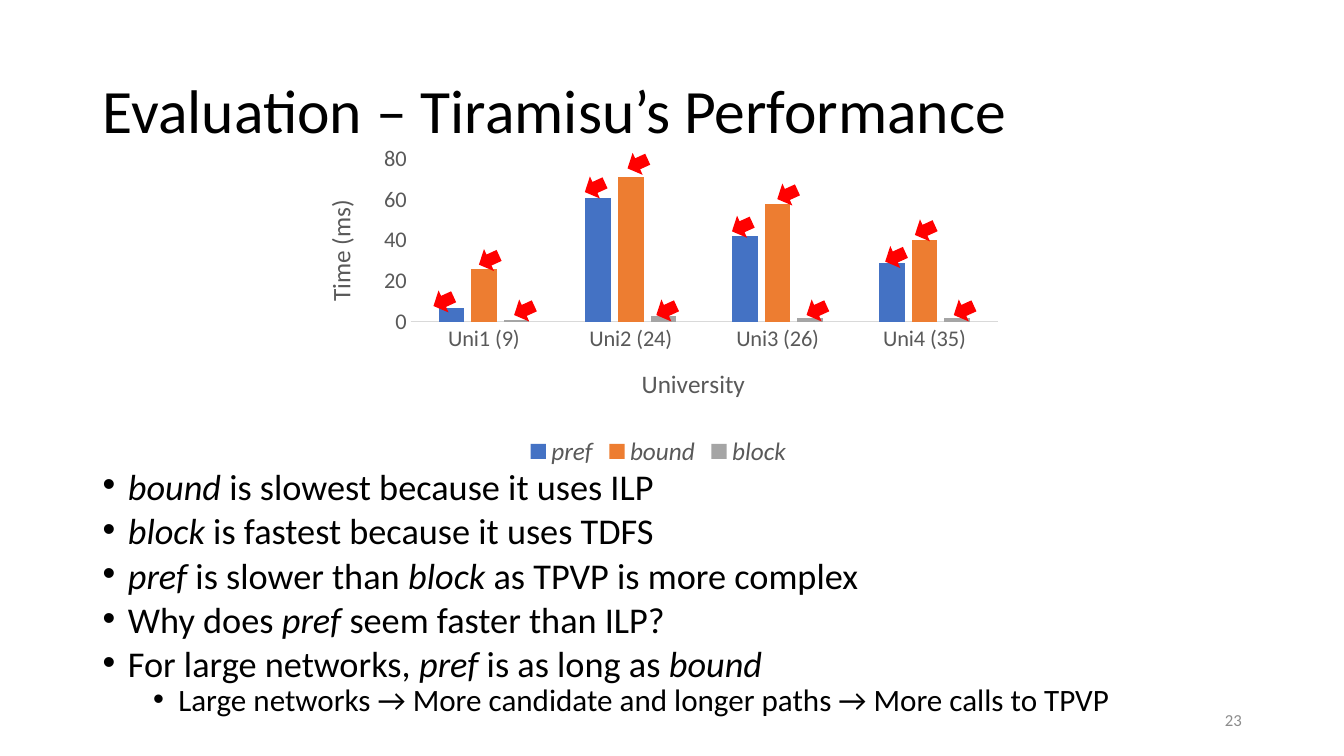
import pptx
import pptx.chart.data
import pptx.dml.color
import pptx.enum.chart
import pptx.enum.shapes
import pptx.enum.text
import pptx.oxml
import pptx.oxml.ns
import pptx.util
from lxml import etree

COLORS = {
    "text": "000000", "number": "8C8C8C", "axis": "595959", "line": "D9D9D9",
    "arrow": "FF0000", "pref": "4472C4", "bound": "ED7D31", "block": "A5A5A5",
}
FONT = "Calibri"

presentation = pptx.Presentation()
presentation.slide_width = pptx.util.Inches(13.33)
presentation.slide_height = pptx.util.Inches(7.5)
slide = presentation.slides.add_slide(presentation.slide_layouts[6])


def place(left, top, width, height):
    column = presentation.slide_width / 100
    row = presentation.slide_height / 100
    return [round(left * column), round(top * row), round(width * column), round(height * row)]


def style(font, size, color, italic=False):
    font.name = FONT
    font.size = pptx.util.Pt(size)
    font.bold = False
    font.italic = italic
    font.color.rgb = pptx.dml.color.RGBColor.from_string(COLORS[color])


labels = [
    ("Evaluation – Tiramisu’s Performance", (6.9, 5.33, 86.25, 19.33), 44, "text", pptx.enum.text.PP_ALIGN.LEFT),
    ("23", (70.65, 92.67, 22.5, 5.33), 12, "number", pptx.enum.text.PP_ALIGN.RIGHT),
]
for text, box, size, color, alignment in labels:
    frame = slide.shapes.add_textbox(*place(*box)).text_frame
    frame.word_wrap = True
    frame.vertical_anchor = pptx.enum.text.MSO_ANCHOR.MIDDLE
    paragraph = frame.paragraphs[0]
    paragraph.alignment = alignment
    paragraph.line_spacing = 0.9
    run = paragraph.add_run()
    run.text = text
    style(run.font, size, color)

findings = [
    (0, ["bound", " is slowest because it uses ILP"]),
    (0, ["block", " is fastest because it uses TDFS"]),
    (0, ["pref", " is slower than ", "block", " as TPVP is more complex"]),
    (0, ["Why does ", "pref", " seem faster than ILP?"]),
    (0, ["For large networks, ", "pref", " is as long as ", "bound"]),
    (1, ["Large networks → More candidate and longer paths → More calls to TPVP"]),
]
series_values = {"pref": (7, 61, 42, 29), "bound": (26, 71, 58, 40), "block": (1, 3, 2, 2)}

frame = slide.shapes.add_textbox(*place(6.9, 62.27, 86.25, 34.53)).text_frame
frame.word_wrap = True
for index, (level, texts) in enumerate(findings):
    paragraph = frame.paragraphs[0] if index == 0 else frame.add_paragraph()
    paragraph.level = level
    properties = paragraph._p.get_or_add_pPr()
    properties.set("marL", str(pptx.util.Inches(0.25 + 0.5 * level)))
    properties.set("indent", str(pptx.util.Inches(-0.25)))
    etree.SubElement(properties, pptx.oxml.ns.qn("a:buFont")).set("typeface", "Arial")
    etree.SubElement(properties, pptx.oxml.ns.qn("a:buChar")).set("char", "•")
    paragraph.line_spacing = 0.7
    paragraph.space_before = pptx.util.Pt(0 if index == 0 else 10 - 5 * level)
    for text in texts:
        run = paragraph.add_run()
        run.text = text
        style(run.font, 22.2 if level else 25.9, "text", text in series_values)

chart_data = pptx.chart.data.CategoryChartData()
chart_data.categories = ["Uni1 (9)", "Uni2 (24)", "Uni3 (26)", "Uni4 (35)"]
for name, values in series_values.items():
    chart_data.add_series(name, values)
chart = slide.shapes.add_chart(
    pptx.enum.chart.XL_CHART_TYPE.COLUMN_CLUSTERED, *place(22.65, 18.4, 52.66, 44), chart_data
).chart
chart.has_title = False
style(chart.font, 16, "text")

plot = chart.plots[0]
plot.gap_width = 219
plot.overlap = -27
plot.vary_by_categories = False
for series in plot.series:
    series.format.fill.solid()
    series.format.fill.fore_color.rgb = pptx.dml.color.RGBColor.from_string(COLORS[series.name])

for axis, title in ((chart.category_axis, "University"), (chart.value_axis, "Time (ms)")):
    axis.has_major_gridlines = False
    axis.major_tick_mark = pptx.enum.chart.XL_TICK_MARK.NONE
    axis.minor_tick_mark = pptx.enum.chart.XL_TICK_MARK.NONE
    style(axis.tick_labels.font, 16, "axis")
    run = axis.axis_title.text_frame.paragraphs[0].add_run()
    run.text = title
    style(run.font, 18, "axis")
chart.category_axis.format.line.color.rgb = pptx.dml.color.RGBColor.from_string(COLORS["line"])
chart.category_axis.format.line.width = pptx.util.Pt(0.75)
chart.value_axis.format.line.fill.background()
chart.value_axis.minimum_scale = 0
chart.value_axis.maximum_scale = 80
chart.value_axis.major_unit = 20
body_properties = chart.value_axis.axis_title.text_frame._txBody.bodyPr
body_properties.set("rot", "-5400000")
body_properties.set("vert", "horz")

chart.has_legend = True
chart.legend.position = pptx.enum.chart.XL_LEGEND_POSITION.BOTTOM
chart.legend.include_in_layout = False
style(chart.legend.font, 18, "axis", True)

plot_area = chart._chartSpace.chart.plotArea
layouts = [
    (plot_area, 0, {"layoutTarget": "inner", "xMode": "edge", "yMode": "edge",
                    "x": 0.15, "y": 0.06, "w": 0.83, "h": 0.49}),
    (chart.category_axis.axis_title._element, 1, {"xMode": "edge", "yMode": "edge", "x": 0.47, "y": 0.67}),
    (chart.value_axis.axis_title._element, 1, {"xMode": "edge", "yMode": "edge", "x": 0.02, "y": 0.17}),
]
for parent, position, settings in layouts:
    for old_layout in parent.findall(pptx.oxml.ns.qn("c:layout")):
        parent.remove(old_layout)
    layout = etree.Element(pptx.oxml.ns.qn("c:layout"))
    manual = etree.SubElement(layout, pptx.oxml.ns.qn("c:manualLayout"))
    for tag, value in settings.items():
        etree.SubElement(manual, pptx.oxml.ns.qn("c:" + tag)).set("val", str(value))
    parent.insert(position, layout)

arrow_corners = {
    "block": [(38.18, 39.47), (48.76, 39.47), (59.94, 39.47), (70.89, 39.47)],
    "bound": [(35.56, 32.8), (46.62, 20.07), (57.76, 24.13), (68, 28.87)],
    "pref": [(32.18, 38.27), (43.44, 23.2), (54.39, 28.4), (65.79, 32.4)],
}
for corners in arrow_corners.values():
    for left, top in corners:
        arrow = slide.shapes.add_shape(
            pptx.enum.shapes.MSO_SHAPE.LEFT_ARROW, *place(left, top, 1.65, 3.2)
        )
        arrow.rotation = 335.5
        arrow.shadow.inherit = False
        arrow.fill.solid()
        arrow.fill.fore_color.rgb = pptx.dml.color.RGBColor.from_string(COLORS["arrow"])
        arrow.line.fill.background()

presentation.save("out.pptx")
